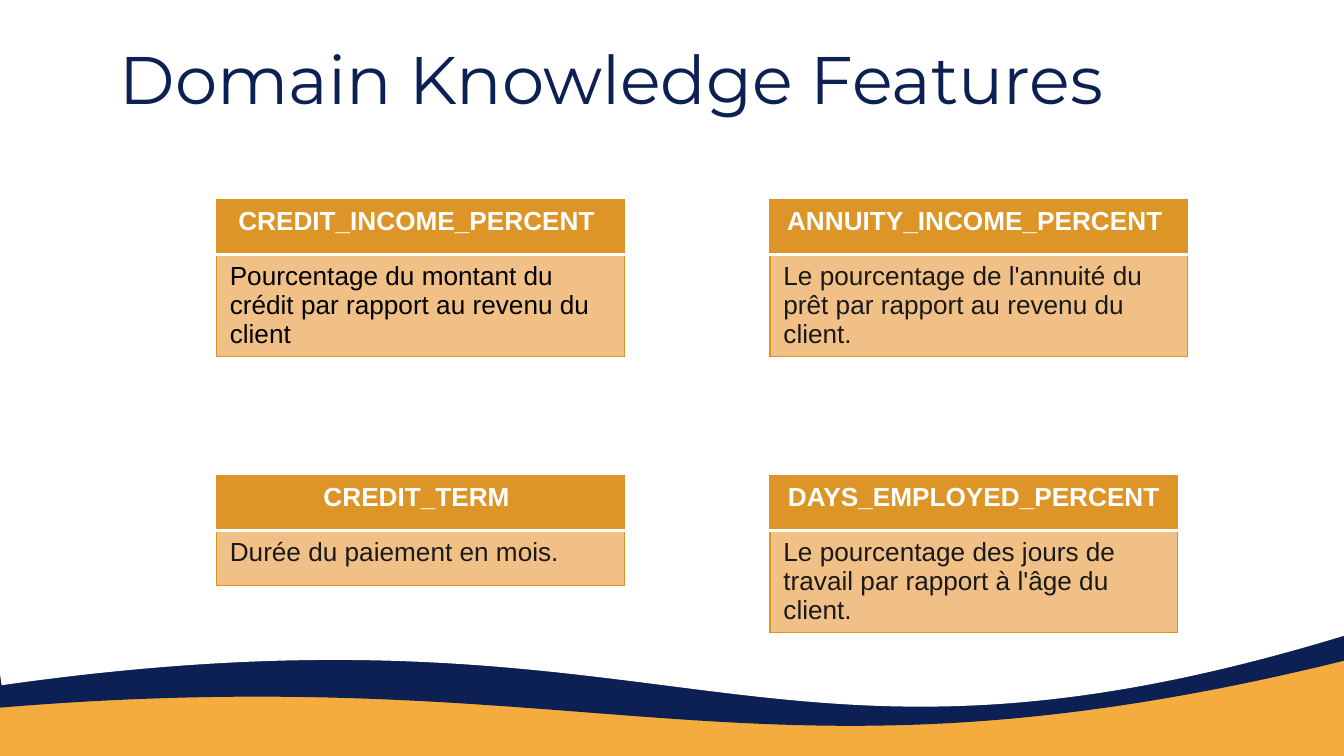
from lxml import etree
from pptx import Presentation
from pptx.dml.color import RGBColor
from pptx.enum import shapes, text
from pptx.oxml import ns
from pptx.util import Pt

COLORS = {
    "navy": "0C2054",
    "amber": "F3AC3D",
    "header": "DC9526",
    "border": "DC9321",
    "body": "F1C086",
    "ink": "191919",
    "black": "000000",
    "white": "FFFFFF",
}
LEFT_X, RIGHT_X = 115.9, 412.5
TOP_Y, BOTTOM_Y = 107, 254.8
WIDTH, WIDE = 218.5, 223.5
HEADER_H = 29.5
TALL, SHORT = 54.5, 29.5

CARDS = [
    (LEFT_X, TOP_Y, WIDTH, TALL, "CREDIT_INCOME_PERCENT ",
     "Pourcentage du montant du crédit par rapport au revenu du client", "black"),
    (RIGHT_X, TOP_Y, WIDE, TALL, "ANNUITY_INCOME_PERCENT ",
     "Le pourcentage de l'annuité du prêt par rapport au revenu du client.", "ink"),
    (LEFT_X, BOTTOM_Y, WIDTH, SHORT, "CREDIT_TERM ",
     "Durée du paiement en mois.", "ink"),
    (RIGHT_X, BOTTOM_Y, WIDTH, TALL, "DAYS_EMPLOYED_PERCENT",
     "Le pourcentage des jours de travail par rapport à l'âge du client.", "ink"),
]


def rgb(name):
    return RGBColor.from_string(COLORS[name])


def style_font(p, name, size, color, bold=False):
    p.font.name = name
    p.font.size = Pt(size)
    p.font.bold = bold
    p.font.color.rgb = rgb(color)


def add_wave(s, order, left, top, width, height, color):
    sp = s.shapes.add_shape(shapes.MSO_SHAPE.FLOWCHART_DOCUMENT,
                            Pt(left), Pt(top), Pt(width), Pt(height))
    sp.rotation = 351.9
    sp.shadow.inherit = False
    sp.fill.solid()
    sp.fill.fore_color.rgb = rgb(color)
    sp.line.fill.background()
    sp._element.spPr.xfrm.set("flipH", "1")
    s.shapes._spTree.insert(2 + order, sp._element)


def set_title(s, words):
    sp = s.shapes.title
    sp.left, sp.top, sp.width, sp.height = Pt(56.9), Pt(22.3), Pt(607), Pt(38.2)
    tf = sp.text_frame
    tf.text = words
    tf.auto_size = text.MSO_AUTO_SIZE.NONE
    tf.vertical_anchor = text.MSO_ANCHOR.MIDDLE
    tf.margin_left = tf.margin_right = tf.margin_top = tf.margin_bottom = Pt(7.2)
    p = tf.paragraphs[0]
    p.alignment = text.PP_ALIGN.LEFT
    style_font(p, "Montserrat", 36, "navy")


def set_borders(cell, white_side):
    tcPr = cell._tc.get_or_add_tcPr()
    for i, side in enumerate("LRTB"):
        color, width = ("white", 2) if side == white_side else ("border", 0.75)
        ln = etree.Element(ns.qn(f"a:ln{side}"), w=str(Pt(width)))
        fill = etree.SubElement(ln, ns.qn("a:solidFill"))
        etree.SubElement(fill, ns.qn("a:srgbClr"), val=COLORS[color])
        tcPr.insert(i, ln)


def fill_cell(cell, words, fill, color, align, bold, white_side):
    cell.text = words
    cell.fill.solid()
    cell.fill.fore_color.rgb = rgb(fill)
    p = cell.text_frame.paragraphs[0]
    p.alignment = align
    style_font(p, "Arial", 14, color, bold)
    set_borders(cell, white_side)


def add_card(s, left, top, width, body_h, heading, body, color):
    frame = s.shapes.add_table(2, 1, Pt(left), Pt(top), Pt(width), Pt(HEADER_H + body_h))
    table = frame.table
    table.horz_banding = False
    table.rows[0].height = Pt(HEADER_H)
    table.rows[1].height = Pt(body_h)
    fill_cell(table.cell(0, 0), heading, "header", "white",
              text.PP_ALIGN.CENTER, True, "B")
    fill_cell(table.cell(1, 0), body, "body", color,
              text.PP_ALIGN.LEFT, False, "T")


def main():
    prs = Presentation()
    prs.slide_width, prs.slide_height = Pt(720), Pt(405)
    s = prs.slides.add_slide(prs.slide_layouts[5])
    s.background.fill.solid()
    s.background.fill.fore_color.rgb = rgb("amber")
    add_wave(s, 0, -149.8, -50.4, 975.6, 469.4, "navy")
    add_wave(s, 1, -23, -63.4, 787.7, 469.4, "white")
    set_title(s, "Domain Knowledge Features")
    for card in CARDS:
        add_card(s, *card)
    prs.save("out.pptx")


if __name__ == "__main__":
    main()
